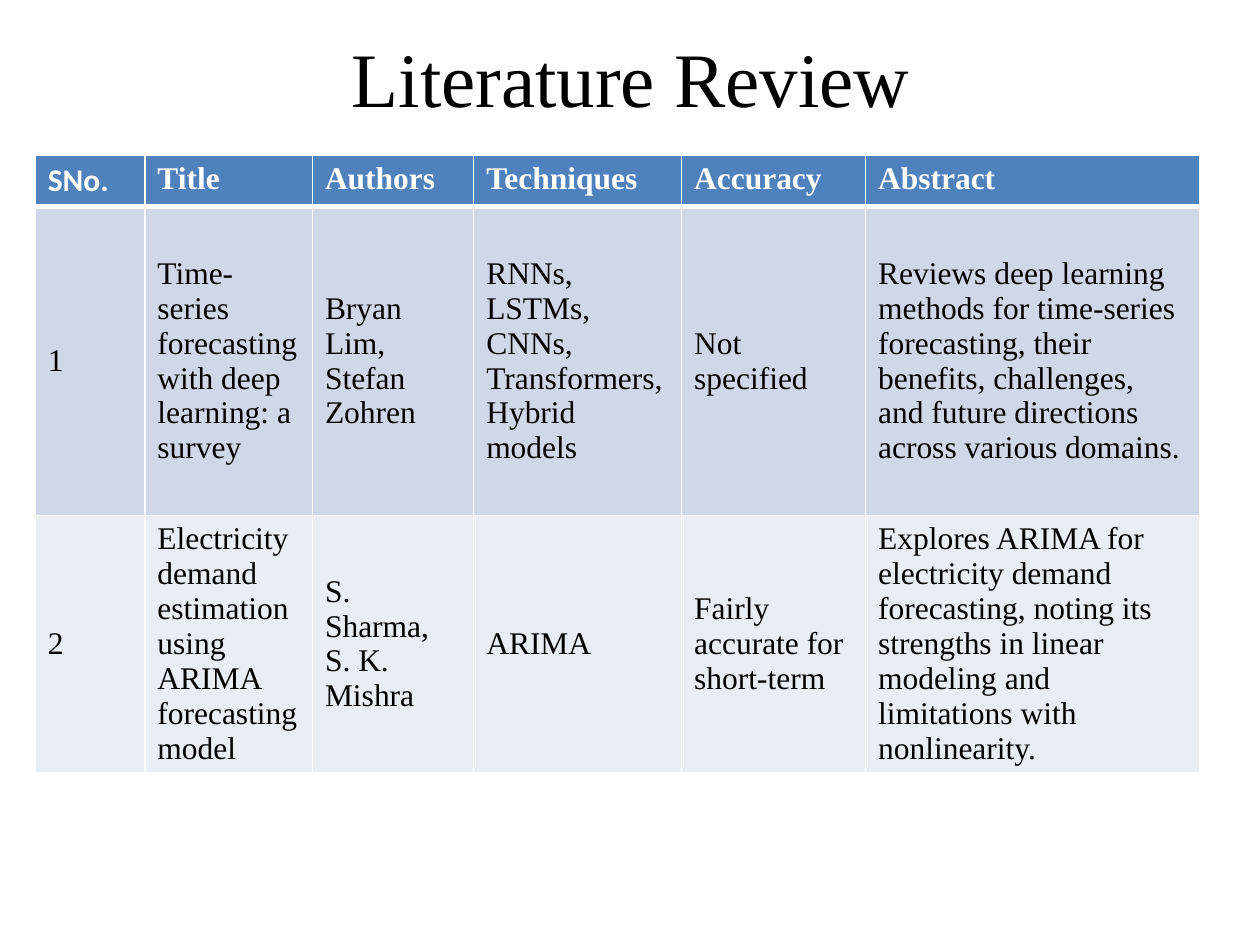
from dataclasses import dataclass

from lxml import etree
from pptx import Presentation
from pptx import util as u
from pptx.dml.color import RGBColor
from pptx.enum import text
from pptx.oxml.ns import qn


@dataclass(frozen=True)
class Theme:
    heading_font: str = "Times New Roman"
    number_font: str = "Calibri"
    title_size: int = 44
    table_size: int = 18
    ink: str = "000000"
    paper: str = "FFFFFF"
    header_fill: str = "4F81BD"
    bands: tuple[str, str] = ("D0D8E8", "E9EDF4")
    thin_rule: int = 1
    header_rule: int = 3


@dataclass(frozen=True)
class Study:
    number: str
    title: str
    authors: str
    techniques: str
    accuracy: str
    abstract: str

    def values(self) -> list[str]:
        return [self.number, self.title, self.authors,
                self.techniques, self.accuracy, self.abstract]


THEME = Theme()
HEADINGS = ["SNo.", "Title", "Authors", "Techniques", "Accuracy", "Abstract"]
COLUMN_WIDTHS = [0.87, 1.33, 1.28, 1.65, 1.46, 2.65]
ROW_HEIGHTS = [0.41, 2.45, 2.04]
STUDIES = [
    Study("1", "Time-series forecasting with deep learning: a survey",
          "Bryan Lim, Stefan Zohren",
          "RNNs, LSTMs, CNNs, Transformers, Hybrid models",
          "Not specified",
          "Reviews deep learning methods for time-series forecasting, their benefits, "
          "challenges, and future directions across various domains."),
    Study("2", "Electricity demand estimation using ARIMA forecasting model",
          "S. Sharma, S. K. Mishra",
          "ARIMA",
          "Fairly accurate for short-term",
          "Explores ARIMA for electricity demand forecasting, noting its strengths in "
          "linear modeling and limitations with nonlinearity."),
]


def add_run(paragraph, words: str, font: str, size: int, color: str, bold: bool = False) -> None:
    run = paragraph.add_run()
    run.text = words
    run.font.name = font
    run.font.size = u.Pt(size)
    run.font.bold = bold
    run.font.color.rgb = RGBColor.from_string(color)


def rule_cell(cell, top: int, bottom: int) -> None:
    """Draw the four borders; they must precede the fill in the cell properties."""
    properties = cell._tc.get_or_add_tcPr()
    widths = {"a:lnL": THEME.thin_rule, "a:lnR": THEME.thin_rule, "a:lnT": top, "a:lnB": bottom}
    for position, (side, width) in enumerate(widths.items()):
        border = etree.Element(qn(side), w=str(u.Pt(width)))
        fill = etree.SubElement(border, qn("a:solidFill"))
        etree.SubElement(fill, qn("a:srgbClr"), val=THEME.paper)
        properties.insert(position, border)


def fill_row(table, row: int, values: list[str]) -> None:
    is_header = row == 0
    background = THEME.header_fill if is_header else THEME.bands[(row - 1) % 2]
    for column, words in enumerate(values):
        cell = table.cell(row, column)
        cell.fill.solid()
        cell.fill.fore_color.rgb = RGBColor.from_string(background)
        cell.vertical_anchor = text.MSO_ANCHOR.TOP if is_header else text.MSO_ANCHOR.MIDDLE
        rule_cell(cell,
                  top=THEME.header_rule if row == 1 else THEME.thin_rule,
                  bottom=THEME.header_rule if is_header else THEME.thin_rule)
        font = THEME.number_font if is_header and column == 0 else THEME.heading_font
        add_run(cell.text_frame.paragraphs[0], words, font, THEME.table_size,
                THEME.paper if is_header else THEME.ink, bold=is_header)


def add_title(slide, words: str) -> None:
    title = slide.shapes.title
    title.left, title.top = u.Inches(0.51), u.Inches(-0.02)
    title.width, title.height = u.Inches(9), u.Inches(1.25)
    title.text_frame.vertical_anchor = text.MSO_ANCHOR.MIDDLE
    heading = title.text_frame.paragraphs[0]
    heading.alignment = text.PP_ALIGN.CENTER
    add_run(heading, words, THEME.heading_font, THEME.title_size, THEME.ink)


def add_review_table(slide, studies: list[Study]) -> None:
    table = slide.shapes.add_table(
        len(studies) + 1, len(HEADINGS), u.Inches(0.28), u.Inches(1.23),
        u.Inches(sum(COLUMN_WIDTHS)), u.Inches(sum(ROW_HEIGHTS))).table
    for column, width in zip(table.columns, COLUMN_WIDTHS):
        column.width = u.Inches(width)
    for row, height in zip(table.rows, ROW_HEIGHTS):
        row.height = u.Inches(height)
    for row, values in enumerate([HEADINGS] + [study.values() for study in studies]):
        fill_row(table, row, values)


def main() -> None:
    deck = Presentation()
    deck.slide_width, deck.slide_height = u.Inches(10), u.Inches(7.5)
    slide = deck.slides.add_slide(deck.slide_layouts[5])  # Title Only
    add_title(slide, "Literature Review")
    add_review_table(slide, STUDIES)
    deck.save("out.pptx")


if __name__ == "__main__":
    main()
